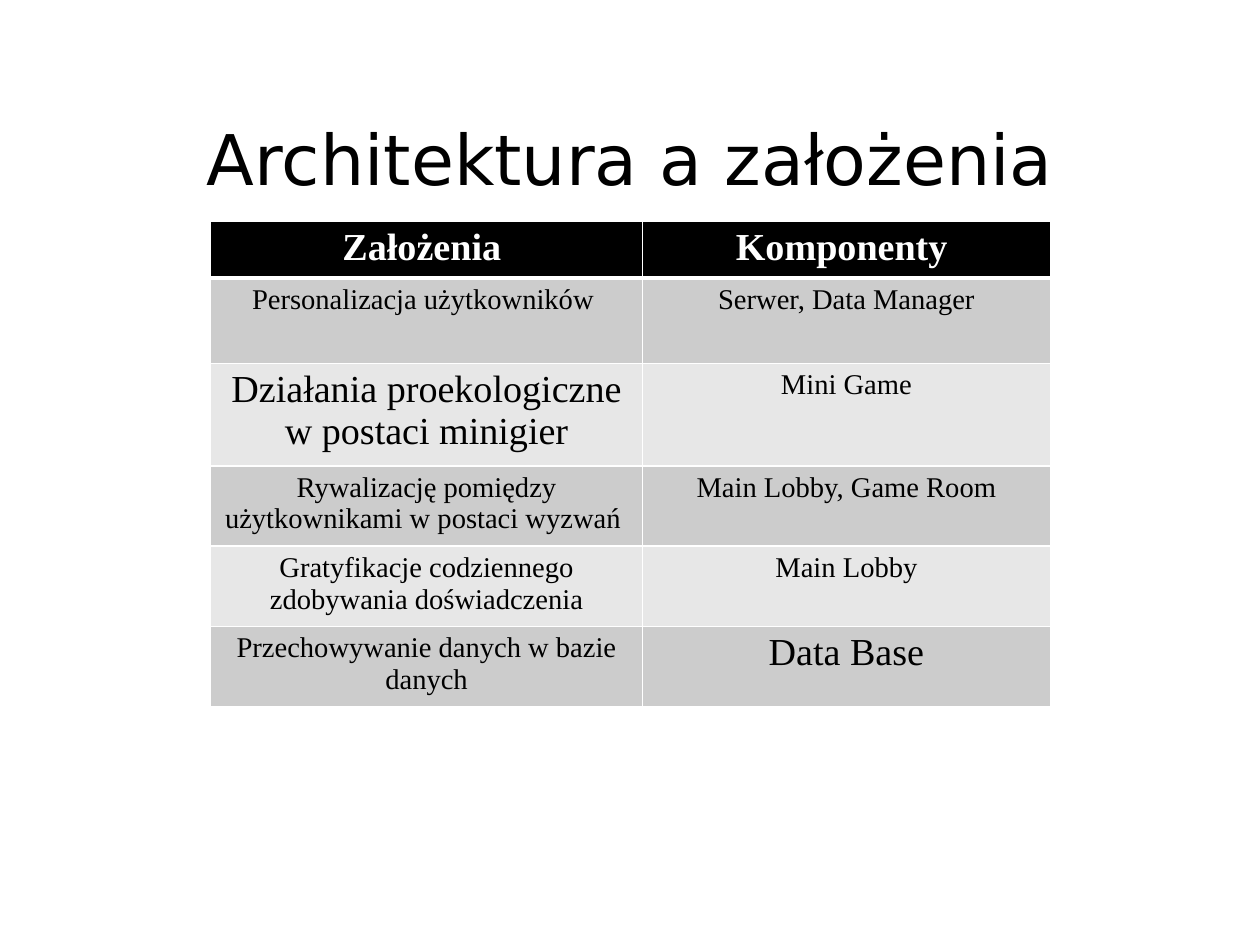
from dataclasses import dataclass

from lxml import etree
from pptx import Presentation
from pptx import util as u
from pptx.dml.color import RGBColor
from pptx.enum import text as t
from pptx.oxml import ns

BLACK = RGBColor(0, 0, 0)
WHITE = RGBColor(0xFF, 0xFF, 0xFF)
DARK = RGBColor(0xCC, 0xCC, 0xCC)
LIGHT = RGBColor(0xE7, 0xE7, 0xE7)
SANS = "DejaVu Sans"
SERIF = "Times New Roman"


@dataclass
class Label:
    words: str
    size: int = 18


@dataclass
class Row:
    goal: Label
    unit: Label
    height: float


ROWS = [
    Row(Label("Założenia ", 24), Label("Komponenty ", 24), 1.18),
    Row(Label("Personalizacja użytkowników "), Label("Serwer, Data Manager"), 1.89),
    Row(Label("Działania proekologiczne w postaci minigier", 24),
        Label("Mini Game"), 2.13),
    Row(Label("Rywalizację pomiędzy użytkownikami w postaci wyzwań "),
        Label("Main Lobby, Game Room"), 1.65),
    Row(Label("Gratyfikacje codziennego zdobywania doświadczenia"),
        Label("Main Lobby"), 1.67),
    Row(Label("Przechowywanie danych w bazie danych"), Label("Data Base", 24), 1.67),
]
WIDTHS = [9.6, 9.06]


def write(frame, label: Label, font: str, color: RGBColor, bold: bool = False):
    line = frame.paragraphs[0]
    line.alignment = t.PP_ALIGN.CENTER
    run = line.add_run()
    run.text = label.words
    run.font.size = u.Pt(label.size)
    run.font.name = font
    run.font.bold = bold
    run.font.color.rgb = color
    return line


def border(cell, side: str, width: float) -> None:
    props = cell._tc.get_or_add_tcPr()
    edge = etree.SubElement(props, ns.qn(f"a:ln{side}"), w=str(u.Pt(width)))
    fill = etree.SubElement(edge, ns.qn("a:solidFill"))
    etree.SubElement(fill, ns.qn("a:srgbClr"), val=str(WHITE))


def add_title(slide) -> None:
    box = slide.shapes.add_textbox(u.Cm(2.06), u.Cm(1.75), u.Cm(23.9), u.Cm(3.5))
    frame = box.text_frame
    frame.word_wrap = True
    frame.vertical_anchor = t.MSO_ANCHOR.MIDDLE
    frame.margin_left = frame.margin_right = 0
    frame.margin_top = frame.margin_bottom = 0
    line = write(frame, Label("Architektura a założenia", 44), SANS, BLACK)
    line.line_spacing = 1.01


def add_grid(slide) -> None:
    high = sum(row.height for row in ROWS)
    grid = slide.shapes.add_table(
        len(ROWS), len(WIDTHS), u.Cm(4.68), u.Cm(4.91),
        u.Cm(sum(WIDTHS)), u.Cm(high)).table
    for col, width in zip(grid.columns, WIDTHS):
        col.width = u.Cm(width)
    for i, row in enumerate(ROWS):
        grid.rows[i].height = u.Cm(row.height)
        head = i == 0
        shade = BLACK if head else DARK if i % 2 else LIGHT
        for j, label in enumerate((row.goal, row.unit)):
            cell = grid.cell(i, j)
            for side in "LRTB":
                thick = head and side == "B" or i == 1 and side == "T"
                border(cell, side, 3 if thick else 1)
            cell.fill.solid()
            cell.fill.fore_color.rgb = shade
            write(cell.text_frame, label, SERIF, WHITE if head else BLACK, head)


def main() -> None:
    deck = Presentation()
    deck.slide_width = u.Cm(28)
    deck.slide_height = u.Cm(21)
    slide = deck.slides.add_slide(deck.slide_layouts[6])
    add_title(slide)
    add_grid(slide)
    deck.save("out.pptx")


if __name__ == "__main__":
    main()
